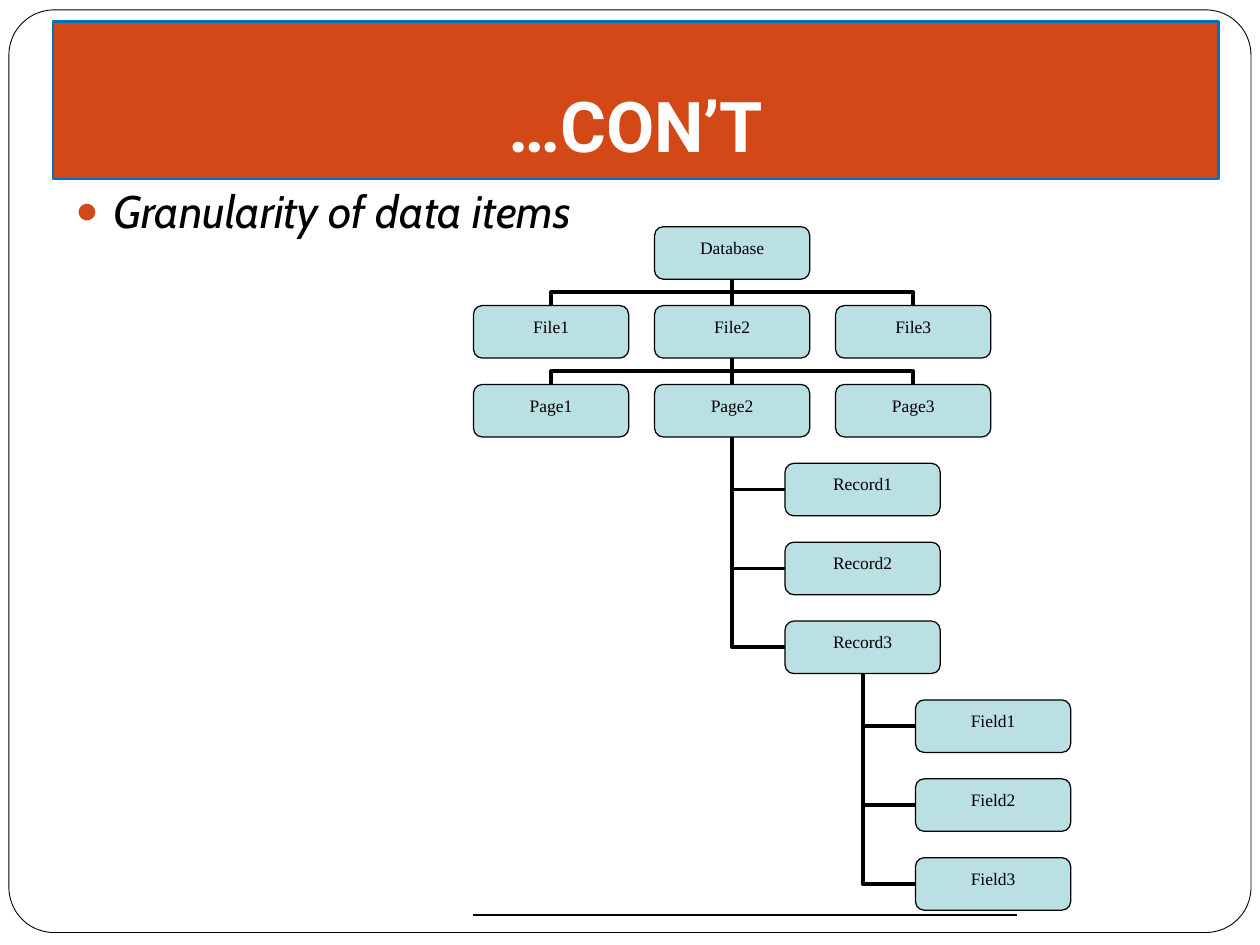
from pptx import Presentation
from pptx.dml.color import RGBColor
from pptx.enum.shapes import MSO_CONNECTOR, MSO_SHAPE
from pptx.enum.text import MSO_ANCHOR, MSO_AUTO_SIZE, PP_ALIGN
from pptx.oxml.ns import qn
from pptx.util import Cm, Pt
from lxml import etree

ROUND = MSO_SHAPE.ROUNDED_RECTANGLE
LINE = MSO_CONNECTOR.STRAIGHT
TOP, BASE = MSO_ANCHOR.TOP, MSO_ANCHOR.BOTTOM
LEFT, MID = PP_ALIGN.LEFT, PP_ALIGN.CENTER
FIXED = MSO_AUTO_SIZE.NONE


def hue(code):
    return RGBColor.from_string(code)


def write(shape, text, size, face, color="000000", bold=False, slant=False,
          align=MID, anchor=TOP, pads=(0.25, 0.13, 0.25, 0.13), lead=1.0):
    frame = shape.text_frame
    frame.text = text
    frame.word_wrap = True
    frame.auto_size = FIXED
    frame.vertical_anchor = anchor
    (frame.margin_left, frame.margin_top,
     frame.margin_right, frame.margin_bottom) = [Cm(pad) for pad in pads]
    para = frame.paragraphs[0]
    para.alignment = align
    para.line_spacing = lead
    para.space_before = Pt(0)
    font = para.runs[0].font
    font.size, font.name = Pt(size), face
    font.bold, font.italic = bold, slant
    font.color.rgb = hue(color)


deck = Presentation()
deck.slide_width, deck.slide_height = Cm(25.4), Cm(19.05)
slide = deck.slides.add_slide(deck.slide_layouts[1])
shapes = slide.shapes

frame = shapes.add_shape(ROUND, Cm(0.18), Cm(0.2), Cm(25.04), Cm(18.6))
frame.adjustments[0] = 0.049
shapes._spTree.insert(2, frame._element)

title = shapes.title
title.left, title.top, title.width, title.height = Cm(1.07), Cm(0.43), Cm(23.5), Cm(3.18)
write(title, "…CON’T", 40, "Roboto", "FFFFFF", bold=True, anchor=BASE,
      pads=(0.25, 0.13, 0.25, 0.25))

body = slide.placeholders[1]
body.left, body.top, body.width, body.height = Cm(1.27), Cm(3.56), Cm(20.75), Cm(15.29)
write(body, "Granularity of data items", 26, "Cabin", slant=True, align=LEFT)
props = body.text_frame.paragraphs[0]._p.get_or_add_pPr()
props.set("marL", str(Cm(0.76)))
props.set("indent", str(Cm(-0.76)))
tint = etree.SubElement(props, qn("a:buClr"))
etree.SubElement(tint, qn("a:srgbClr"), val="D34817")
etree.SubElement(props, qn("a:buSzPct"), val="85000")
etree.SubElement(props, qn("a:buChar"), char="●")

wide, high, step, top = 3.13, 1.06, 1.59, 4.57
center, pitch, shift = 14.76, 3.65, 2.63
cells = [("Database", center, 0)]
for row, name in enumerate(("File", "Page"), 1):
    cells += [(f"{name}{n}", center + (n - 2) * pitch, row) for n in (1, 2, 3)]
for level, name in enumerate(("Record", "Field"), 1):
    cells += [(f"{name}{n}", center + level * shift, 3 * level + n - 1) for n in (1, 2, 3)]
spots = {name: (x, top + row * step) for name, x, row in cells}

wires = [(9.53, 18.45, 20.5, 18.45, 1)]
paths = []
for head, name, side in (("Database", "File", False), ("File2", "Page", False),
                         ("Page2", "Record", True), ("Record3", "Field", True)):
    x, y = spots[head]
    y += high
    for n in (3, 2, 1):
        kid, roof = spots[f"{name}{n}"]
        bend = (y + roof) / 2
        if side:
            paths.append([(kid - wide / 2, roof + high / 2), (x, roof + high / 2), (x, y)])
        elif kid == x:
            wires.append((x, y, x, roof, 2.16))
        else:
            paths.append([(kid, roof), (kid, bend), (x, bend), (x, y)])

for x, y, right, low, weight in wires:
    wire = shapes.add_connector(LINE, Cm(x), Cm(y), Cm(right), Cm(low))
    wire.line.color.rgb = hue("000000")
    wire.line.width = Pt(weight)
    etree.SubElement(wire._element.spPr, qn("a:effectLst"))

looks = [(frame, "FFFFFF", "000000", 0.5), (title, "D34817", "0070C0", 1.5)]
for path in paths:
    points = [(Cm(x), Cm(y)) for x, y in path]
    pen = shapes.build_freeform(*points[0])
    pen.add_line_segments(points[1:], close=False)
    looks.append((pen.convert_to_shape(), None, "000000", 2.16))

for name, (x, y) in spots.items():
    box = shapes.add_shape(ROUND, Cm(x - wide / 2), Cm(y), Cm(wide), Cm(high))
    box.adjustments[0] = 0.17
    write(box, name, 10, "Times New Roman", pads=(0, 0.09, 0, 0), lead=1.15)
    looks.append((box, "BBE0E3", "000000", 0.72))

for shape, fill, edge, weight in looks:
    if fill:
        shape.fill.solid()
        shape.fill.fore_color.rgb = hue(fill)
    else:
        shape.fill.background()
    shape.line.color.rgb = hue(edge)
    shape.line.width = Pt(weight)
    if shape is not title:
        shape.shadow.inherit = False

deck.save("out.pptx")
